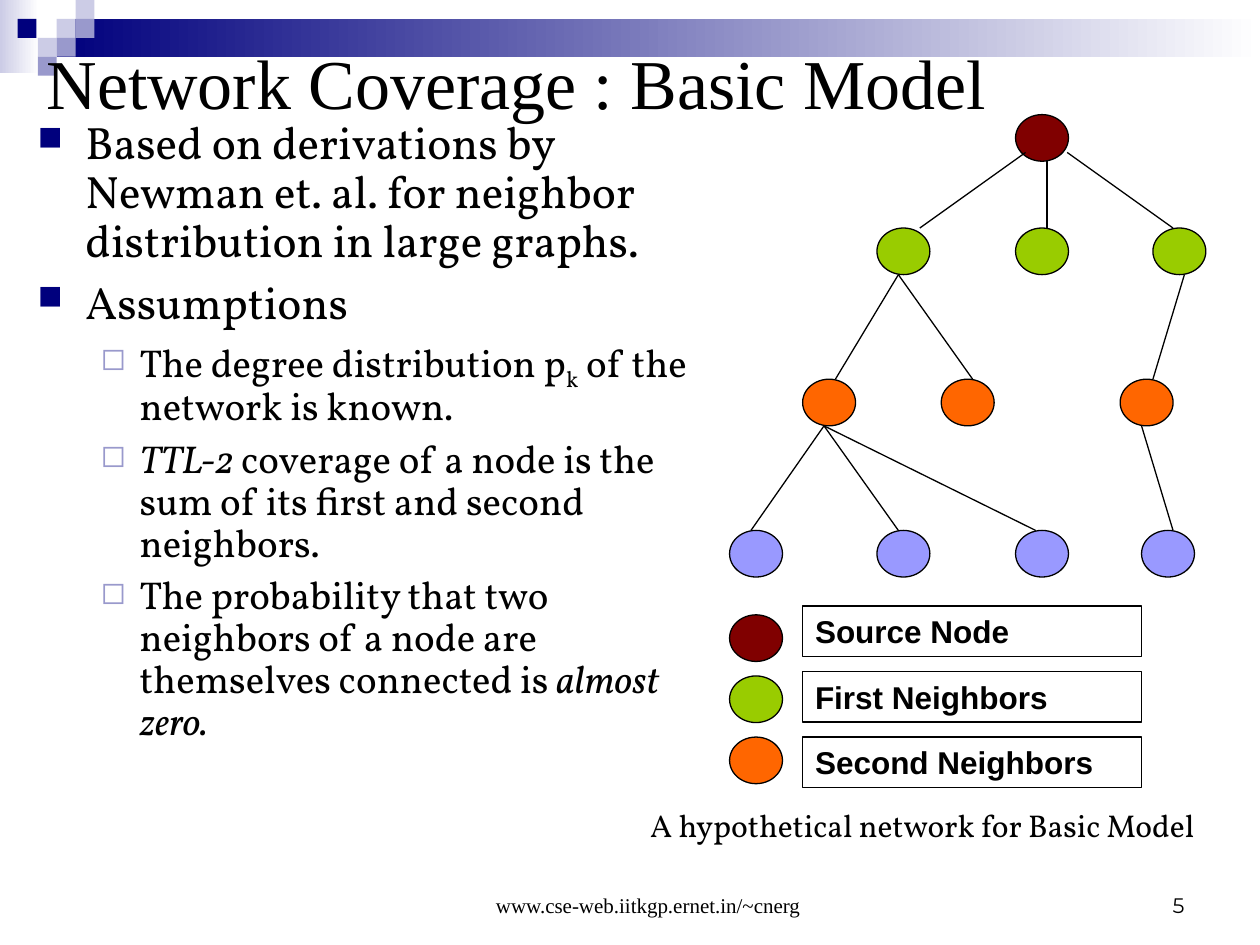
from lxml import etree
from pptx import Presentation, util as u
from pptx.dml.color import RGBColor
from pptx.enum import shapes, text
from pptx.oxml import ns

deck = Presentation()
deck.slide_width, deck.slide_height = u.Inches(10), u.Inches(7.5)
UNIT = deck.slide_width / 100  # square grid: 100 columns by 75 rows

NODE = (4.2, 3.7)
SOURCE, FIRST, SECOND, THIRD = "800000", "99CC00", "FF6600", "9999FF"
NAVY, MIST, LAVENDER = "00007D", "CCCCE6", "9999CC"
OVAL, RECT = shapes.MSO_SHAPE.OVAL, shapes.MSO_SHAPE.RECTANGLE


def color(value):
    return RGBColor.from_string(value)


def grid(*lengths):
    return [round(length * UNIT) for length in lengths]


def set_format(target, values):
    for name, value in values.items():
        setattr(target, name, value)


def add_element(parent, tag, **attributes):
    return etree.SubElement(parent, ns.qn(tag), attributes)


def add_figure(page, kind, box, fill=None, outline=None):
    """Preset shape; a fill may be one colour or a pair for a gradient."""
    figure = page.shapes.add_shape(kind, *grid(*box))
    figure.shadow.inherit = False
    if isinstance(fill, tuple):
        figure.fill.gradient()
        figure.fill.gradient_angle = 180
        for stop, shade in zip(figure.fill.gradient_stops, fill):
            stop.color.rgb = color(shade)
    elif fill:
        figure.fill.solid()
        figure.fill.fore_color.rgb = color(fill)
    else:
        figure.fill.background()
    if outline:
        figure.line.color.rgb = color(outline)
        figure.line.width = u.Pt(0.75)
    else:
        figure.line.fill.background()
    return figure


def add_edge(page, start, end):
    edge = page.shapes.add_connector(
        shapes.MSO_CONNECTOR.STRAIGHT, *grid(*start, *end))
    edge.line.color.rgb = color("000000")
    edge.line.width = u.Pt(0.75)
    add_element(edge._element.spPr, "a:effectLst")


def add_span(para, words, size, font, subscript=False, **style):
    span = para.add_run()
    span.text = words
    set_format(span.font, {"size": u.Pt(size), "name": font, **style})
    span.font.color.rgb = color("000000")
    if subscript:
        span.font._element.set("baseline", "-25000")


def write_line(shape, words, size, font, anchor=text.MSO_ANCHOR.TOP,
               align=text.PP_ALIGN.LEFT, **style):
    set_format(shape.text_frame, {
        "word_wrap": True, "auto_size": text.MSO_AUTO_SIZE.NONE,
        "vertical_anchor": anchor})
    para = shape.text_frame.paragraphs[0]
    para.alignment = align
    add_span(para, words, size, font, **style)


def add_bullet(para, char, shade, percent, margin, hang):
    props = para._p.get_or_add_pPr()
    props.set("marL", str(u.Inches(margin)))
    props.set("indent", str(-u.Inches(hang)))
    add_element(add_element(props, "a:buClr"), "a:srgbClr", val=shade)
    add_element(props, "a:buSzPct", val=str(percent * 1000))
    add_element(props, "a:buChar", char=char)


def draw_banner(page, left, top):
    side = 1.5
    add_figure(page, RECT, (left, top, 3.1, 5.8), ("FFFFFF", MIST))
    add_figure(page, RECT, (left + 3 * side, top + side, 95.5, 2 * side),
               ("FFFFFF", NAVY))
    tiles = [(3, 1, MIST), (4, 0, MIST), (4, 1, LAVENDER), (2, 2, MIST),
             (0.93, 1, NAVY), (3, 2, LAVENDER), (2, 3, LAVENDER)]
    for col, row, shade in tiles:
        add_figure(page, RECT, (left + col * side, top + row * side, side, side),
                   shade)


def place_title(page, box, words):
    title = page.shapes.title
    set_format(title, dict(zip(("left", "top", "width", "height"), grid(*box))))
    write_line(title, words, 40, "Times New Roman", text.MSO_ANCHOR.MIDDLE)
    page.shapes._spTree.append(title._element)  # in front of the banner


def write_points(page, box):
    italic, subscript = {"italic": True}, {"subscript": True}
    points = [
        (0, [("Based on derivations by Newman et. al. for neighbor "
              "distribution in large graphs.", {})]),
        (0, [("Assumptions", {})]),
        (1, [("The degree distribution p", {}), ("k", subscript),
             (" of the network is known.", {})]),
        (1, [("TTL-2 ", italic),
             ("coverage of a node is the sum of its first and second "
              "neighbors.", {})]),
        (1, [("The probability that two neighbors of a node are themselves "
              "connected is ", {}), ("almost zero.", italic)]),
    ]
    bullets = [("■", NAVY, 75, 0.38, 0.38), ("◻", LAVENDER, 80, 0.81, 0.31)]
    sizes, gaps = (25.9, 22.2), (7, 6)
    frame = page.shapes.add_textbox(*grid(*box)).text_frame
    frame.word_wrap = True
    for index, (level, spans) in enumerate(points):
        para = frame.add_paragraph() if index else frame.paragraphs[0]
        add_bullet(para, *bullets[level])
        set_format(para, {"level": level, "line_spacing": 0.9})
        if index:
            para.space_before = u.Pt(gaps[level])
        for words, style in spans:
            add_span(para, words, sizes[level], "Vollkorn", **style)


def draw_network(page, left, top):
    rows = (0, 9, 21, 33)
    levels = [(SOURCE, (22.7,)), (FIRST, (11.7, 22.7, 33.6)),
              (SECOND, (5.8, 16.8, 31)), (THIRD, (0, 11.7, 22.7, 32.7))]
    for row, (shade, columns) in zip(rows, levels):
        for column in columns:
            add_figure(page, OVAL, (left + column, top + row, *NODE),
                       shade, "000000")
    # parent level, start column, start depth in the node, end columns
    low = NODE[1]
    fans = [(0, 23.5, 3, (15.1,)), (0, 25.2, low, (25.2,)),
            (0, 26.8, 3, (35.2,)), (1, 13.4, low, (8.4, 19.3)),
            (1, 36.1, low, (33.6,)), (2, 7.5, low, (1.7, 13.4, 24.3)),
            (2, 32.7, low, (35.2,))]
    for level, start, depth, ends in fans:
        for end in ends:
            add_edge(page, (left + start, top + rows[level] + depth),
                     (left + end, top + rows[level + 1]))


def draw_legend(page, left, top):
    entries = [(SOURCE, "Source Node"), (FIRST, "First Neighbors"),
               (SECOND, "Second Neighbors")]
    for index, (shade, words) in enumerate(entries):
        add_figure(page, OVAL, (left, top + 0.7 + 4.85 * index, *NODE),
                   shade, "000000")
        label = add_figure(page, RECT, (left + 5.8, top + 5.2 * index, 26.9, 4),
                           outline="000000")
        write_line(label, words, 18, "Arial", bold=True)


def add_caption(page, box, *line, **options):
    write_line(page.shapes.add_textbox(*grid(*box)), *line, **options)


def build_slide():
    page = deck.slides.add_slide(deck.slide_layouts.get_by_name("Title Only"))
    center, bottom = text.PP_ALIGN.CENTER, text.MSO_ANCHOR.BOTTOM
    draw_banner(page, 0, 0)
    place_title(page, (2.7, 3.6, 95.4, 5.7), "Network Coverage : Basic Model")
    write_points(page, (2, 9.1, 55.1, 60.6))
    draw_network(page, 57.9, 9.1)
    draw_legend(page, 57.9, 48.1)
    add_caption(page, (49.2, 63.5, 48, 7),
                "A hypothetical network for Basic Model", 18, "Vollkorn",
                align=center)
    add_caption(page, (35.4, 68.3, 32.1, 5),
                "www.cse-web.iitkgp.ernet.in/~cnerg", 12, "Times New Roman",
                anchor=bottom, align=center)
    add_caption(page, (71.7, 68.3, 23.3, 5), "5", 12, "Montserrat",
                anchor=bottom, align=text.PP_ALIGN.RIGHT)


if __name__ == "__main__":
    build_slide()
    deck.save("out.pptx")
